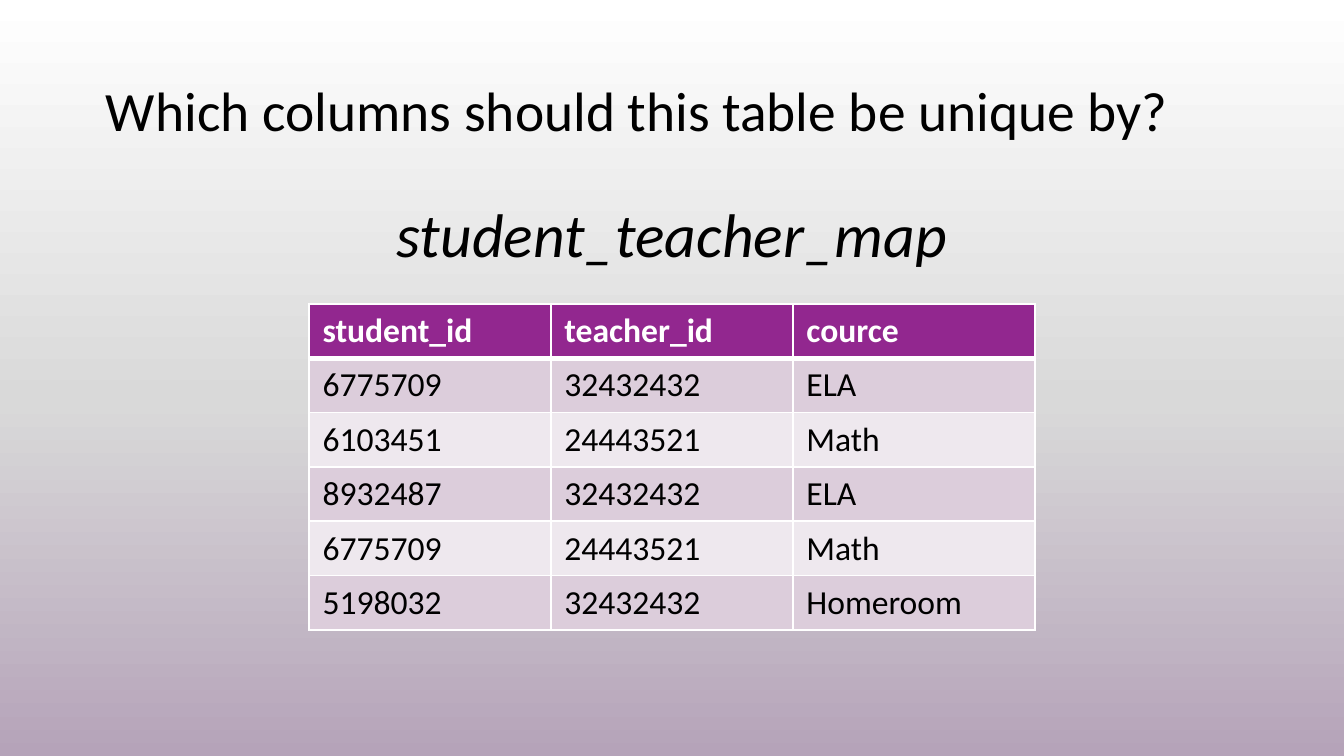
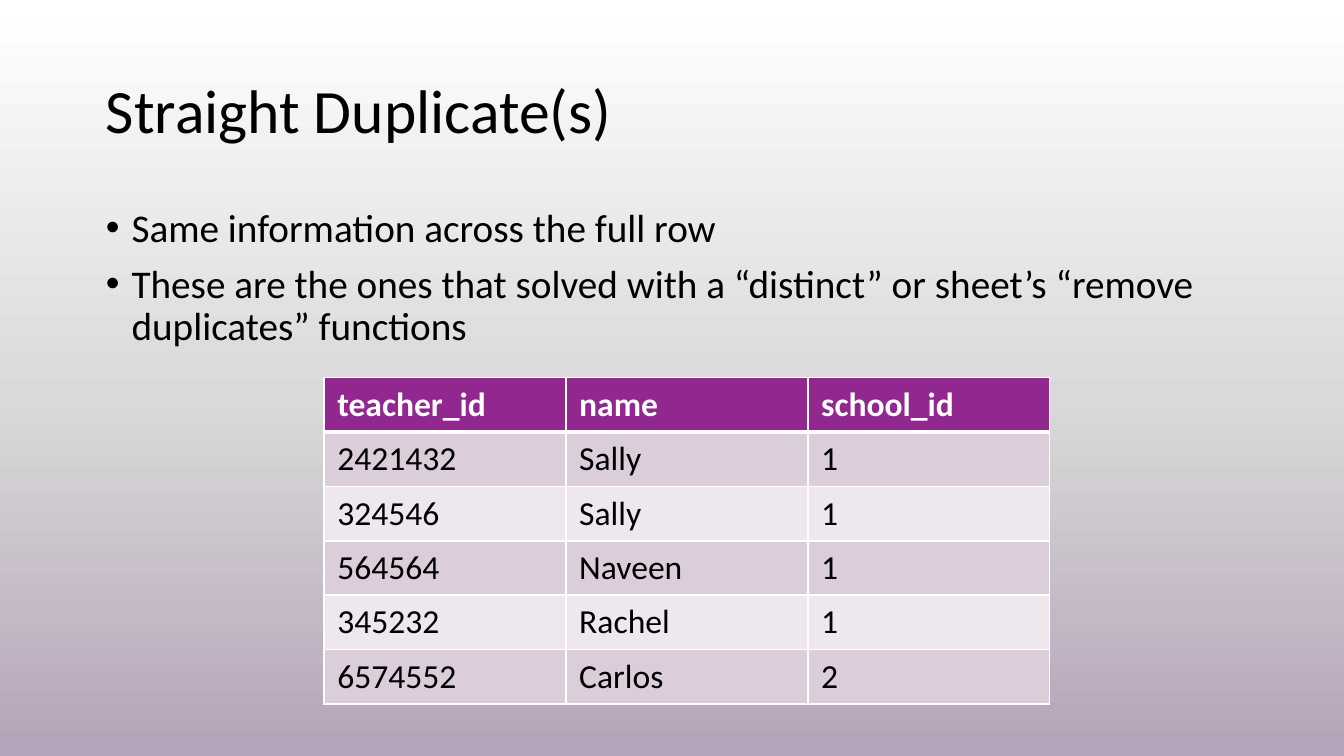
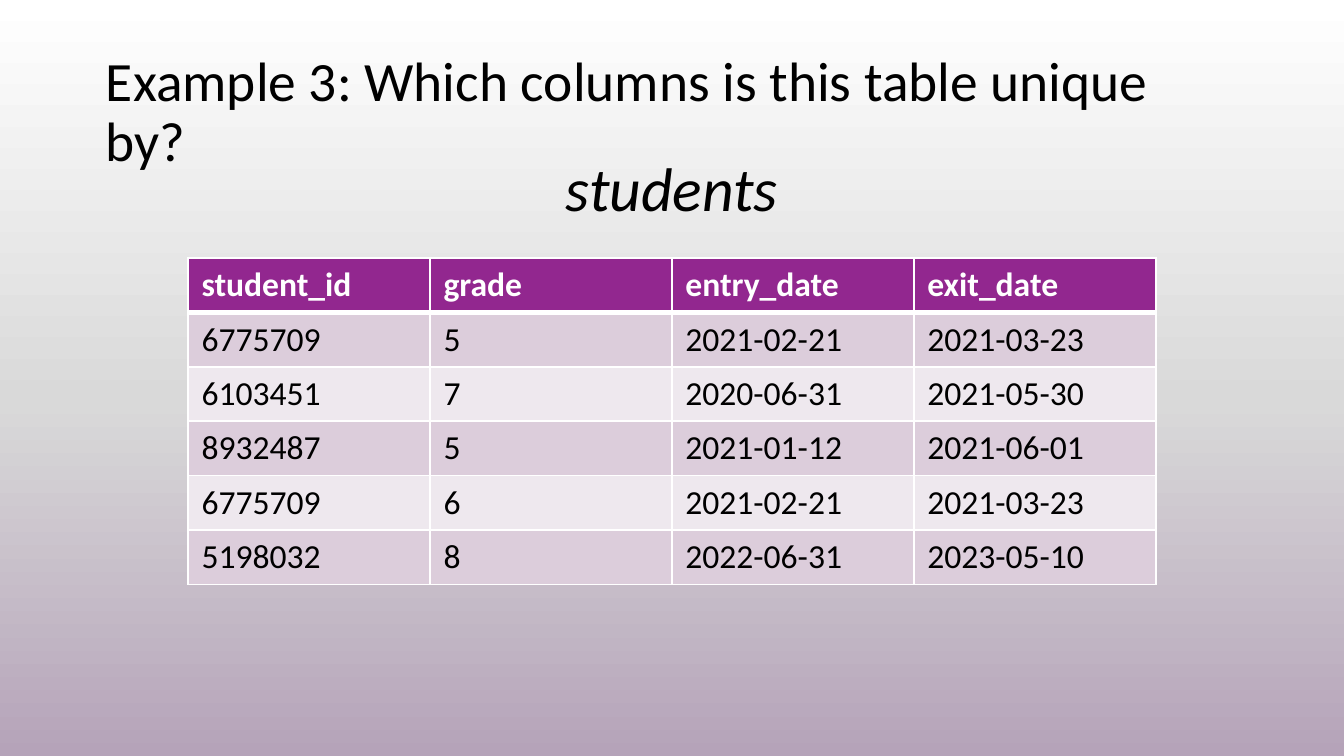
"""Build three slides about table uniqueness and duplicate rows."""
import copy

import lxml.etree
import pptx
import pptx.dml.color
import pptx.enum.text
import pptx.oxml.ns
import pptx.util

COLORS = {"text": "000000", "header": "92278F", "header_text": "FFFFFF",
          "odd_row": "DCCDDB", "even_row": "EEE8EE", "border": "FFFFFF"}
BACKGROUND = [(0, "FFFFFF"), (0.53, "D9D9D9"), (1, "B5A3B9")]
FONT = "Calibri"
WIDTH, HEIGHT = 10, 5.625
COLUMN_WIDTH, ROW_HEIGHT = 1.8, 0.405
TITLE_BOX = (0.69, 0.3, 8.62, 1.09)
BODY_BOX = (0.69, 1.5, 8.62, 3.57)
CAPTION_LEFT, CAPTION_RISE, CAPTION_HEIGHT = 0.5, 1, 0.94
LARGE, MEDIUM, BODY, CELL = 33, 29.7, 21, 18
HANGING = 0.19

SLIDES = [
    {"title": "Which columns should this table be unique by?", "title_size": MEDIUM,
     "caption": "student_teacher_map", "table_top": 2.26,
     "rows": [
         ("student_id", "teacher_id", "cource"),
         ("6775709", "32432432", "ELA"),
         ("6103451", "24443521", "Math"),
         ("8932487", "32432432", "ELA"),
         ("6775709", "24443521", "Math"),
         ("5198032", "32432432", "Homeroom")]},
    {"title": "Straight Duplicate(s)", "title_size": LARGE,
     "bullets": ["Same information across the full row",
                 "These are the ones that solved with a “distinct” or sheet’s "
                 "“remove duplicates” functions"],
     "table_top": 2.81, "table_shift": 0.11,
     "rows": [
         ("teacher_id", "name", "school_id"),
         ("2421432", "Sally", "1"),
         ("324546", "Sally", "1"),
         ("564564", "Naveen", "1"),
         ("345232", "Rachel", "1"),
         ("6574552", "Carlos", "2")]},
    {"title": "Example 3: Which columns is this table unique by?", "title_size": MEDIUM,
     "caption": "students", "table_top": 1.92,
     "rows": [
         ("student_id", "grade", "entry_date", "exit_date"),
         ("6775709", "5", "2021-02-21", "2021-03-23"),
         ("6103451", "7", "2020-06-31", "2021-05-30"),
         ("8932487", "5", "2021-01-12", "2021-06-01"),
         ("6775709", "6", "2021-02-21", "2021-03-23"),
         ("5198032", "8", "2022-06-31", "2023-05-10")]},
]


def rgb(name):
    return pptx.dml.color.RGBColor.from_string(COLORS.get(name, name))


def inches(*lengths):
    return [pptx.util.Inches(length) for length in lengths]


def add_element(parent, tag, **attributes):
    return lxml.etree.SubElement(parent, pptx.oxml.ns.qn(tag), attributes)


def write(paragraph, text, size, color="text", bold=False, italic=False,
          centered=False, line_spacing=None, space_before=None, bullet=None):
    run = paragraph.add_run()
    run.text = text
    font = run.font
    font.name, font.size = FONT, pptx.util.Pt(size)
    font.bold, font.italic = bold, italic
    font.color.rgb = rgb(color)
    if centered:
        paragraph.alignment = pptx.enum.text.PP_ALIGN.CENTER
    if line_spacing:
        paragraph.line_spacing = line_spacing
    if space_before:
        paragraph.space_before = pptx.util.Pt(space_before)
    if bullet:
        properties = paragraph._p.get_or_add_pPr()
        indent = pptx.util.Inches(HANGING)
        properties.set("marL", str(indent))
        properties.set("indent", str(-indent))
        add_element(properties, "a:buFont", typeface="Arial")
        add_element(properties, "a:buChar", char=bullet)


def add_text(slide, box, texts, middle=True, **text_format):
    frame = slide.shapes.add_textbox(*inches(*box)).text_frame
    frame.word_wrap = True
    anchor = pptx.enum.text.MSO_ANCHOR
    frame.vertical_anchor = anchor.MIDDLE if middle else anchor.TOP
    for index, text in enumerate(texts):
        paragraph = frame.add_paragraph() if index else frame.paragraphs[0]
        write(paragraph, text, **text_format)


def set_borders(cell, top, bottom):
    properties = cell._tc.get_or_add_tcPr()
    for side, points in (("L", 1), ("R", 1), ("T", top), ("B", bottom)):
        line = add_element(properties, "a:ln" + side, w=str(pptx.util.Pt(points)))
        add_element(add_element(line, "a:solidFill"), "a:srgbClr", val=COLORS["border"])


def add_data_table(slide, rows, top, shift=0):
    columns = len(rows[0])
    width = columns * COLUMN_WIDTH
    box = inches((WIDTH - width) / 2 + shift, top, width, len(rows) * ROW_HEIGHT)
    table = slide.shapes.add_table(len(rows), columns, *box).table
    for row_index, row in enumerate(rows):
        header = row_index == 0
        fill = "header" if header else "odd_row" if row_index % 2 else "even_row"
        for column_index, text in enumerate(row):
            cell = table.cell(row_index, column_index)
            set_borders(cell, top=3 if row_index == 1 else 1, bottom=3 if header else 1)
            cell.fill.solid()
            cell.fill.fore_color.rgb = rgb(fill)
            write(cell.text_frame.paragraphs[0], text, CELL, bold=header,
                  color="header_text" if header else "text")


def set_background(master):
    fill = master.background.fill
    fill.gradient()
    fill.gradient_angle = 270
    stop_list = next(master.element.cSld.iter(pptx.oxml.ns.qn("a:gsLst")))
    stop_list.insert(1, copy.deepcopy(stop_list[0]))
    for stop, (position, color) in zip(fill.gradient_stops, BACKGROUND):
        stop.position = position
        stop.color.rgb = rgb(color)


def add_content(slide, content):
    add_text(slide, TITLE_BOX, [content["title"]], size=content["title_size"],
             line_spacing=0.9)
    if "bullets" in content:
        add_text(slide, BODY_BOX, content["bullets"], middle=False, size=BODY,
                 line_spacing=0.9, space_before=7.5, bullet="•")
    top = content["table_top"]
    add_data_table(slide, content["rows"], top, content.get("table_shift", 0))
    if "caption" in content:
        box = (CAPTION_LEFT, top - CAPTION_RISE, WIDTH - 2 * CAPTION_LEFT, CAPTION_HEIGHT)
        add_text(slide, box, [content["caption"]], size=LARGE, italic=True, centered=True)


def main():
    presentation = pptx.Presentation()
    presentation.slide_width, presentation.slide_height = inches(WIDTH, HEIGHT)
    set_background(presentation.slide_master)
    for content in SLIDES:
        add_content(presentation.slides.add_slide(presentation.slide_layouts[6]), content)
    presentation.save("out.pptx")


if __name__ == "__main__":
    main()
